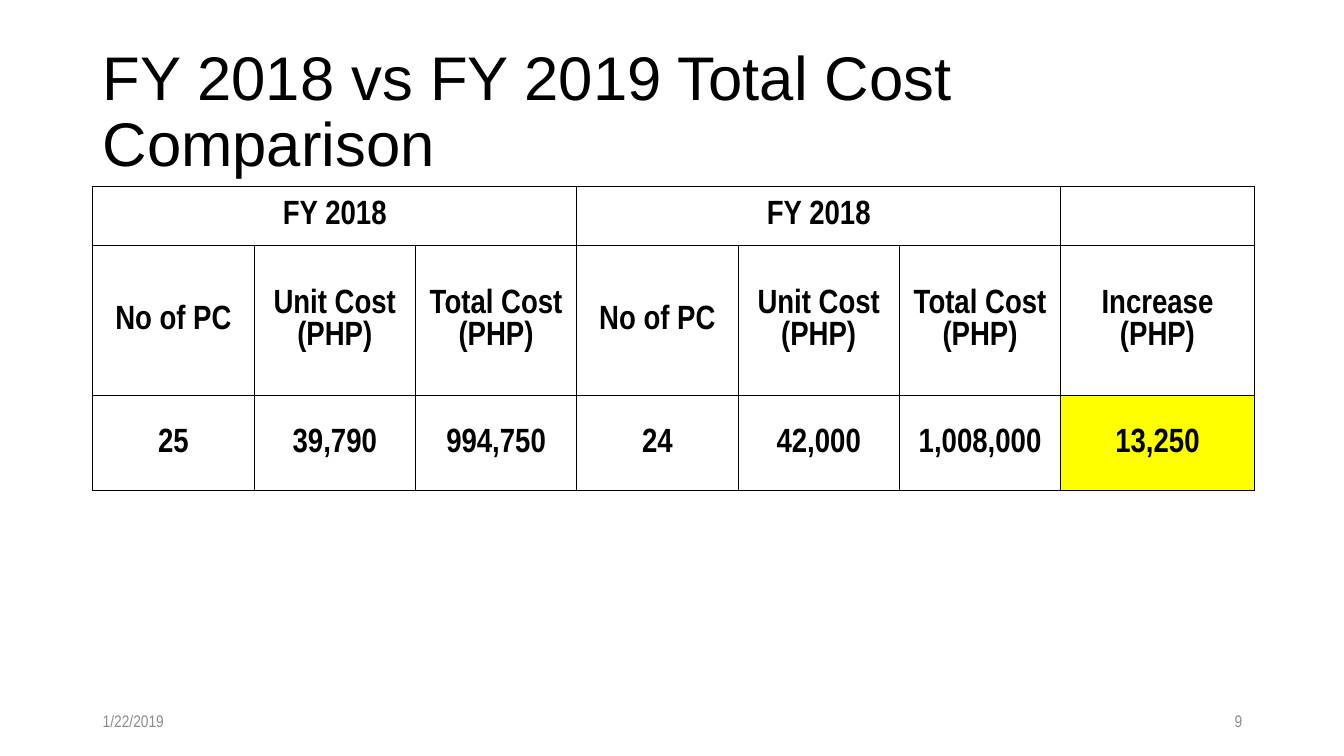
import pptx
import pptx.util
import pptx.dml.color
import pptx.enum.text
import pptx.oxml
import pptx.oxml.ns
from pptx.util import Inches

COLORS = {"text": "000000", "footer": "8C8C8C", "highlight": "FFFF00"}
ALIGN = pptx.enum.text.PP_ALIGN
MIDDLE = pptx.enum.text.MSO_ANCHOR.MIDDLE

prs = pptx.Presentation()
prs.slide_width, prs.slide_height = Inches(13.33), Inches(7.5)
s = prs.slides.add_slide(prs.slide_layouts[6])


def format_text(tf, text, size, font, color, align, bold=False):
    tf.text = text
    p = tf.paragraphs[0]
    p.alignment = align
    for r in p.runs:
        r.font.size = pptx.util.Pt(size)
        r.font.name = font
        r.font.bold = bold
        r.font.color.rgb = pptx.dml.color.RGBColor.from_string(COLORS[color])


def set_border(cell, side, width):
    ns = pptx.oxml.ns.nsdecls("a")
    cell._tc.get_or_add_tcPr().append(pptx.oxml.parse_xml(
        f'<a:ln{side} {ns} w="{int(width * 12700)}"><a:solidFill>'
        f'<a:srgbClr val="{COLORS["text"]}"/></a:solidFill></a:ln{side}>'))


# Title, date and slide number
texts = [
    ("FY 2018 vs FY 2019 Total Cost Comparison", 0.92, 0.4, 11.5, 1.45, 44, "Arial", "text", ALIGN.LEFT),
    ("1/22/2019", 0.92, 6.95, 3, 0.4, 12, "Arial Narrow", "footer", ALIGN.LEFT),
    ("9", 9.42, 6.95, 3, 0.4, 12, "Arial Narrow", "footer", ALIGN.RIGHT),
]
for text, x, y, w, h, size, font, color, align in texts:
    sp = s.shapes.add_textbox(Inches(x), Inches(y), Inches(w), Inches(h))
    tf = sp.text_frame
    tf.word_wrap = True
    tf.vertical_anchor = MIDDLE
    format_text(tf, text, size, font, color, align)
    if size == 44:
        tf.paragraphs[0].line_spacing = 0.9

# Cost table
year_headings = ["No of PC", "Unit Cost (PHP)", "Total Cost (PHP)"]
rows = [
    ["FY 2018", "", "", "FY 2018", "", "", ""],
    year_headings * 2 + ["Increase (PHP)"],
    ["25", "39,790", "994,750", "24", "42,000", "1,008,000", "13,250"],
]
col_widths = [1.6] * 6 + [1.92]
row_heights = [0.58, 1.49, 0.95]
table = s.shapes.add_table(len(rows), len(col_widths), Inches(0.92), Inches(1.85),
                           Inches(11.5), Inches(3.02)).table
table.first_row = table.horz_banding = False
for col, width in zip(table.columns, col_widths):
    col.width = Inches(width)
for row, height in zip(table.rows, row_heights):
    row.height = Inches(height)
for first in (0, 3):
    table.cell(0, first).merge(table.cell(0, first + 2))

# Cell text, borders and fill: thick lines around each year group
thick_cols, thick_rows = (0, 3, 6, 7), (0, 3)
for i, row in enumerate(rows):
    for j, text in enumerate(row):
        cell = table.cell(i, j)
        cell.vertical_anchor = MIDDLE
        cell.margin_left = cell.margin_right = cell.margin_top = Inches(0.01)
        cell.margin_bottom = 0
        if text:
            format_text(cell.text_frame, text, 24, "Arial Narrow", "text", ALIGN.CENTER, True)
        for side, edge, thick in (("L", j, thick_cols), ("R", j + 1, thick_cols),
                                  ("T", i, thick_rows), ("B", i + 1, thick_rows)):
            set_border(cell, side, 1 if edge in thick else 0.5)
        cell.fill.background()

increase = table.cell(2, 6)
increase.fill.solid()
increase.fill.fore_color.rgb = pptx.dml.color.RGBColor.from_string(COLORS["highlight"])

prs.save("out.pptx")
